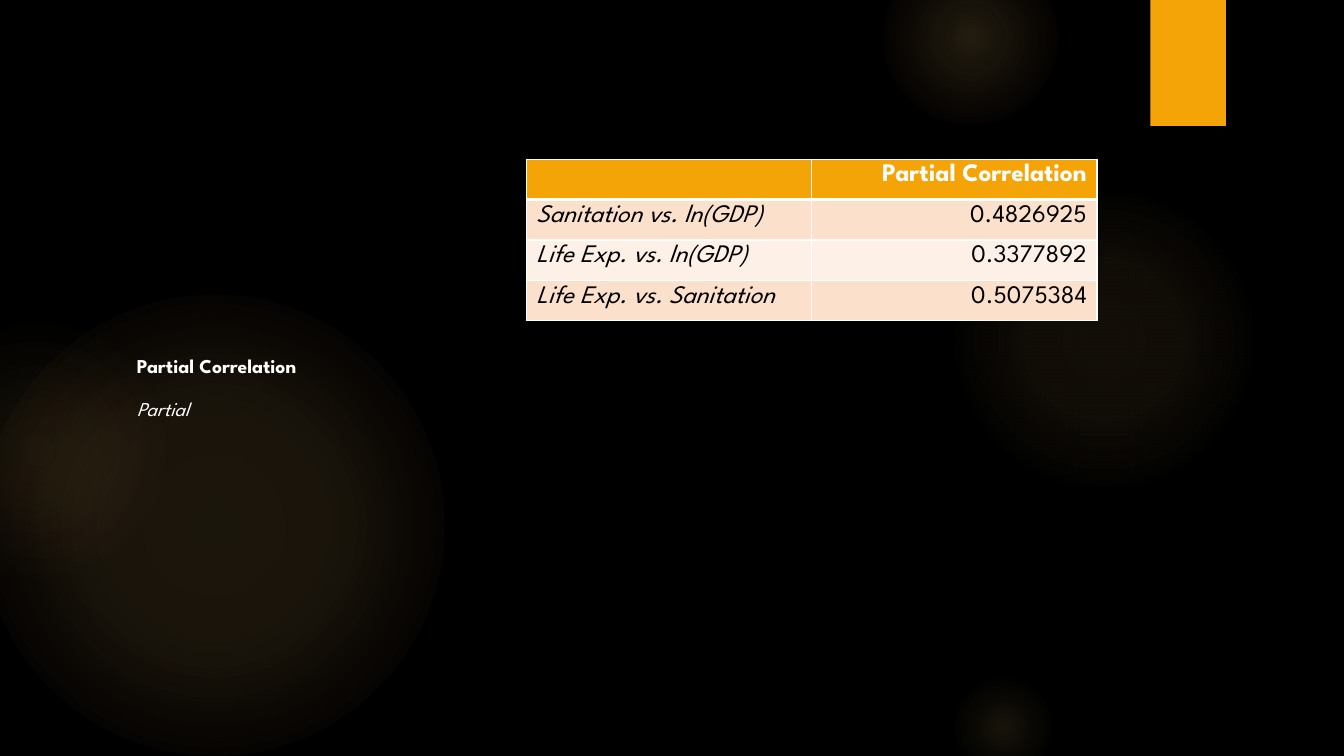
from lxml import etree
from pptx import Presentation
from pptx.dml.color import RGBColor
from pptx.enum import shapes, text
from pptx.oxml import parse_xml
from pptx.oxml.ns import nsdecls, qn
from pptx.util import Inches, Pt

FONT = "League Spartan"
AMBER, GOLD, CORAL = "F5A408", "FAC96A", "F59B74"
WHITE, BLACK = "FFFFFF", "000000"
BANDS = ["FBE0CC", "FDF0E7"]

GLOWS = [
    (-0.17, 2.92, 4.58, [(0, GOLD, 11), (36, GOLD, 10), (75, GOLD, 0)]),
    (-0.92, 3.17, 2.58, [(0, GOLD, 8), (36, GOLD, 5), (71, CORAL, 0)]),
    (9.41, 1.83, 3.08, [(0, GOLD, 7), (36, GOLD, 6), (69, GOLD, 0)]),
    (8.75, -0.5, 1.75, [(0, GOLD, 14), (36, GOLD, 7), (73, GOLD, 0)]),
    (9.41, 6.67, 1.08, [(0, GOLD, 10), (31, GOLD, 5), (66, GOLD, 0)]),
]

ROWS = [
    ("", "Partial Correlation"),
    ("Sanitation vs.\u00a0ln(GDP)", "0.4826925"),
    ("Life Exp. vs.\u00a0ln(GDP)", "0.3377892"),
    ("Life Exp. vs.\u00a0Sanitation", "0.5075384"),
]


def rgb(value):
    return RGBColor.from_string(value)


def paint(fill, color):
    fill.solid()
    fill.fore_color.rgb = rgb(color)


def style(p, size, color, bold=False, italic=False):
    p.font.name = FONT
    p.font.size = Pt(size)
    p.font.color.rgb = rgb(color)
    p.font.bold = bold
    p.font.italic = italic


def add_plain_shape(s, kind, left, top, width, height):
    sp = s.shapes.add_shape(kind, Inches(left), Inches(top), Inches(width), Inches(height))
    sp.shadow.inherit = False
    sp.line.fill.background()
    return sp


def add_glow(s, left, top, size, stops):
    sp = add_plain_shape(s, shapes.MSO_SHAPE.OVAL, left, top, size, size)
    sp.fill.background()
    gs = "".join(
        f'<a:gs pos="{pos * 1000}"><a:srgbClr val="{color}">'
        f'<a:alpha val="{alpha * 1000}"/></a:srgbClr></a:gs>'
        for pos, color, alpha in stops
    )
    gradient = parse_xml(
        f'<a:gradFill {nsdecls("a")} rotWithShape="1"><a:gsLst>{gs}</a:gsLst>'
        '<a:path path="circle"><a:fillToRect l="50000" t="50000" r="50000" b="50000"/>'
        "</a:path></a:gradFill>"
    )
    sp_pr = sp.element.spPr
    sp_pr.replace(sp_pr.find(qn("a:noFill")), gradient)


def add_caption(s):
    tf = s.shapes.add_textbox(Inches(1.26), Inches(3.42), Inches(3.72), Inches(3.17)).text_frame
    tf.word_wrap = True
    title, subtitle = tf.paragraphs[0], tf.add_paragraph()
    title.text, subtitle.text = "Partial Correlation", "Partial"
    style(title, 14, WHITE, bold=True)
    style(subtitle, 14, WHITE, italic=True)
    subtitle.space_before = Pt(4)
    for p in tf.paragraphs:
        p.line_spacing = 1.2
        p.space_after = Pt(6)


def set_borders(cell, **widths):
    tc_pr = cell._tc.get_or_add_tcPr()
    for side in "LRTB":
        ln = etree.SubElement(tc_pr, qn(f"a:ln{side}"), w=str(Pt(widths.get(side, 1))))
        fill = etree.SubElement(ln, qn("a:solidFill"))
        etree.SubElement(fill, qn("a:srgbClr"), val=WHITE)


def add_correlation_table(s):
    height = 0.33
    frame = s.shapes.add_table(
        len(ROWS), 2, Inches(5.22), Inches(1.58), Inches(5.66), Inches(height * len(ROWS))
    )
    table = frame.table
    for i, row in enumerate(ROWS):
        table.rows[i].height = Inches(height)
        header = i == 0
        for j, value in enumerate(row):
            cell = table.cell(i, j)
            set_borders(cell, T=3 if i == 1 else 1, B=3 if header else 1)
            paint(cell.fill, AMBER if header else BANDS[(i - 1) % 2])
            p = cell.text_frame.paragraphs[0]
            p.text = value
            p.alignment = text.PP_ALIGN.RIGHT if j else text.PP_ALIGN.LEFT
            style(p, 18, WHITE if header else BLACK, bold=header, italic=not header and j == 0)


def main():
    prs = Presentation()
    prs.slide_width, prs.slide_height = Inches(13.33), Inches(7.5)
    s = prs.slides.add_slide(prs.slide_layouts[6])
    paint(s.background.fill, BLACK)
    for glow in GLOWS:
        add_glow(s, *glow)
    tab = add_plain_shape(s, shapes.MSO_SHAPE.RECTANGLE, 11.41, 0, 0.75, 1.25)
    paint(tab.fill, AMBER)
    add_caption(s)
    add_correlation_table(s)
    prs.save("out.pptx")


main()
